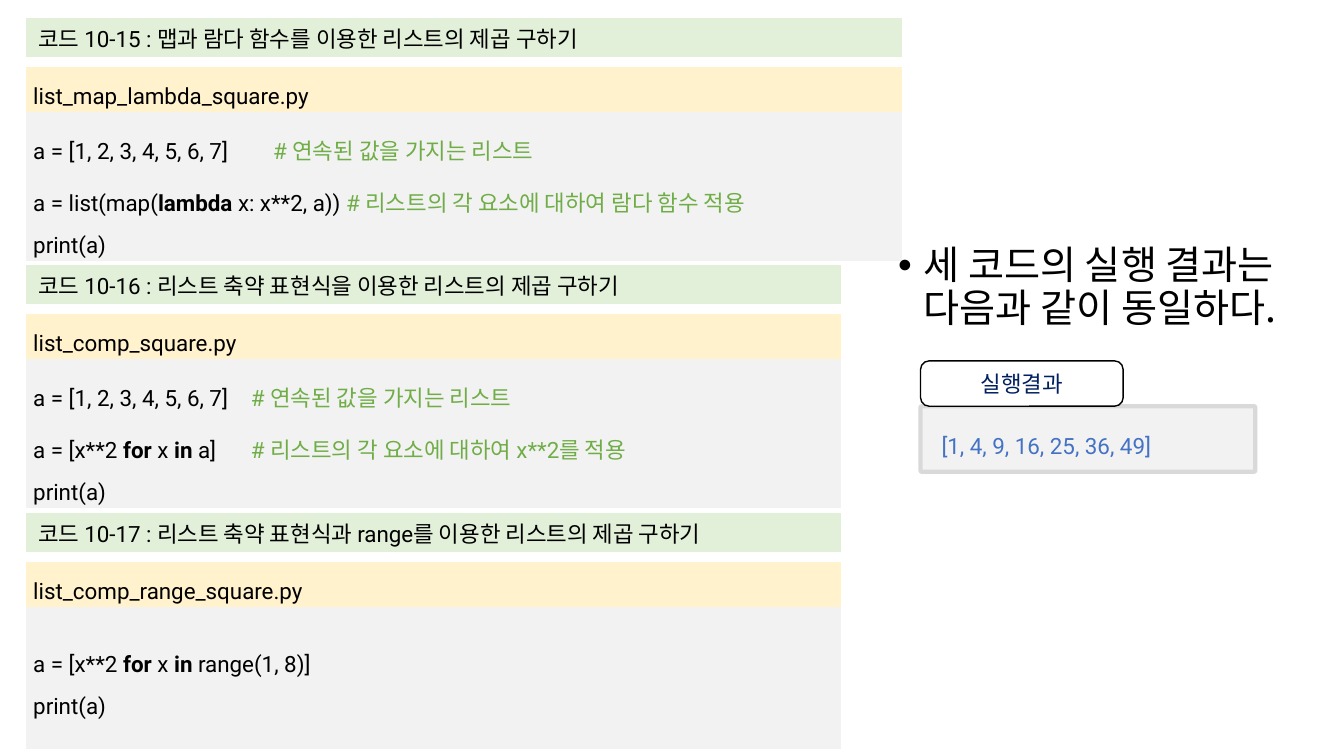
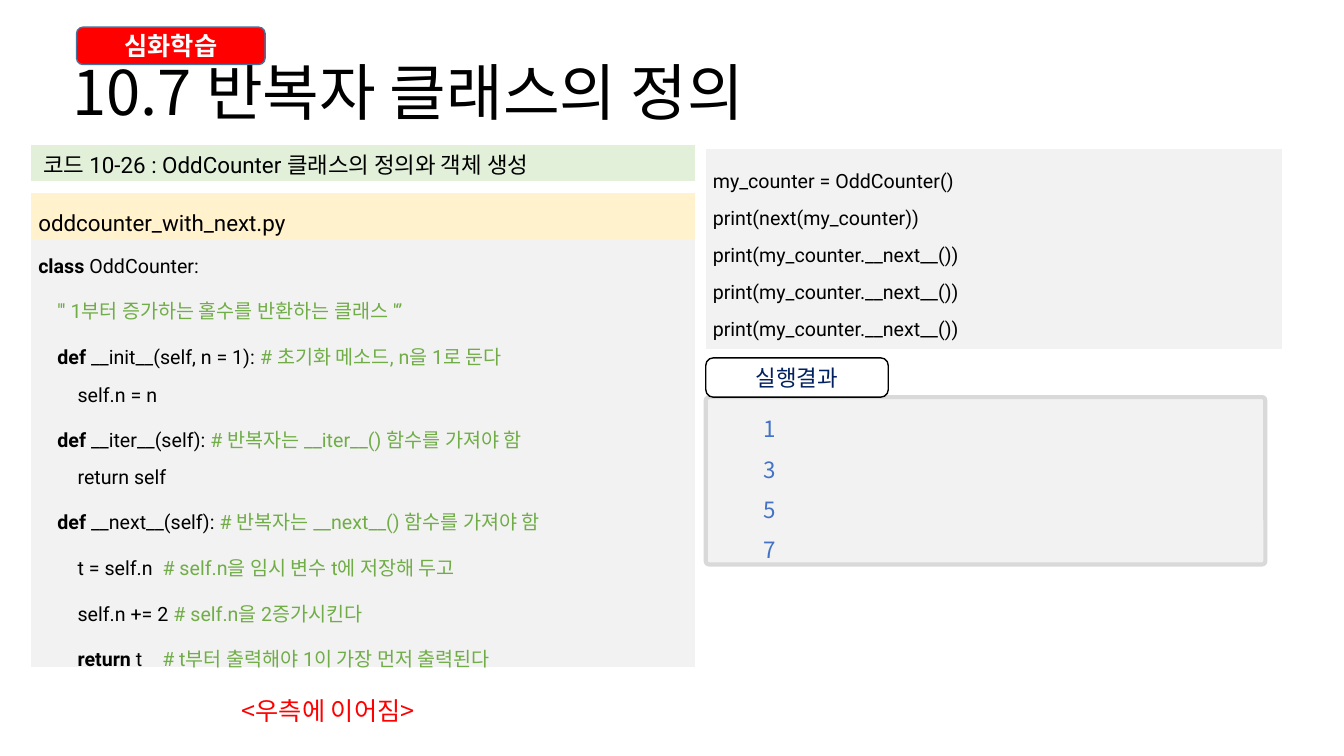
from lxml import etree
from pptx import Presentation
from pptx.dml.color import RGBColor
from pptx.enum.shapes import MSO_SHAPE as Preset
from pptx.enum.text import MSO_ANCHOR as Anchor, PP_ALIGN as Align
from pptx.oxml.ns import qn
from pptx.util import Inches, Pt

LATIN, KOREAN = "Roboto", "Noto Sans CJK KR"
BLACK, WHITE, RED, NAVY, BLUE = "000000", "FFFFFF", "FF0000", "002060", "4472C4"
CAPTION, FILENAME, CODE, COMMENT, EDGE = "E2F0D9", "FFF2CC", "F2F2F2", "70AD47", "D9D9D9"
NO_TABLE_STYLE = "{2D5ABB26-0587-4C30-8999-92F81FD0307C}"
LISTING_ROWS = (0.39, 0.08, 0.31, 1.41)


def rgb(value):
    """Turn a hex string into a colour."""
    return RGBColor.from_string(value)


def style_run(run, size, color=BLACK, font=KOREAN, bold=False):
    """Format one run, with the Korean font for East Asian letters."""
    run.font.size, run.font.bold, run.font.name = Pt(size), bold, font
    run.font.color.rgb = rgb(color)
    etree.SubElement(run.font._element, qn("a:ea"), typeface=KOREAN)


def write(frame, text, size, color=BLACK, font=KOREAN, bold=False, align=Align.LEFT, spacing=1.0):
    """Fill a text frame with evenly formatted paragraphs."""
    frame.text = text
    for paragraph in frame.paragraphs:
        paragraph.alignment, paragraph.line_spacing = align, spacing
        for run in paragraph.runs:
            style_run(run, size, color, font, bold)


def add_label(slide, box, text, size, anchor=Anchor.TOP, wrap=True, **look):
    """Add a text box and return its frame."""
    frame = slide.shapes.add_textbox(*map(Inches, box)).text_frame
    frame.word_wrap, frame.vertical_anchor = wrap, anchor
    write(frame, text, size, **look)
    return frame


def add_panel(slide, box, fill, line, width, radius):
    """Add a rounded rectangle and return it."""
    panel = slide.shapes.add_shape(Preset.ROUNDED_RECTANGLE, *map(Inches, box))
    panel.shadow.inherit = False
    panel.adjustments[0] = radius
    panel.fill.solid()
    panel.fill.fore_color.rgb = rgb(fill)
    panel.line.color.rgb = rgb(line)
    panel.line.width = Pt(width)
    panel.text_frame.vertical_anchor = Anchor.MIDDLE
    return panel


def add_result(slide, box, tab_size, output_box, output, font):
    """Add an output panel with its heading tab."""
    left, top = box[:2]
    width, height = tab_size
    add_panel(slide, box, CODE, EDGE, 3, 0.02)
    tab = add_panel(slide, (left, top - height, width, height), WHITE, BLACK, 1, 0.19)
    write(tab.text_frame, "실행결과", 16, NAVY, align=Align.CENTER)
    add_label(slide, output_box, output, 16, color=BLUE, font=font, spacing=1.5)


def write_code(frame, lines, size, stops):
    """Write code with backticked keywords bold and comments green."""
    for index, line in enumerate(lines):
        paragraph = frame.paragraphs[0] if index == 0 else frame.add_paragraph()
        paragraph.alignment, paragraph.line_spacing = Align.JUSTIFY, 1.6
        if "\t" in line:
            tabs = etree.SubElement(paragraph._p.get_or_add_pPr(), qn("a:tabLst"))
            for stop in stops:
                etree.SubElement(tabs, qn("a:tab"), pos=str(Inches(stop)), algn="l")
        cut = next((line.index(mark) for mark in ("#", "'''") if mark in line), len(line))
        pieces = [(part, BLACK, order % 2 == 1) for order, part in enumerate(line[:cut].split("`"))]
        for part, color, bold in pieces + [(line[cut:], COMMENT, False)]:
            if part:
                run = paragraph.add_run()
                run.text = part
                style_run(run, size, color, LATIN, bold)


def add_rows(slide, box, heights, fills):
    """Add a one-column table and return the frame of each cell."""
    holder = slide.shapes.add_table(len(heights), 1, *map(Inches, box))
    table = holder.table
    table.first_row = table.horz_banding = False
    for style in holder._element.iter(qn("a:tableStyleId")):
        style.text = NO_TABLE_STYLE
    for row, height, fill in zip(table.rows, heights, fills):
        row.height = Inches(height)
        cell = row.cells[0]
        cell.vertical_anchor = Anchor.MIDDLE
        cell.margin_left = cell.margin_right = Inches(0.07)
        cell.margin_top = cell.margin_bottom = Inches(0.02)
        if fill:
            cell.fill.solid()
            cell.fill.fore_color.rgb = rgb(fill)
        else:
            cell.fill.background()
    holder.height = Inches(box[3])
    return [row.cells[0].text_frame for row in table.rows]


def add_listing(slide, box, heights, caption, filename, lines, size=16, stops=()):
    """Add a captioned code listing."""
    heading, gap, name, body = add_rows(slide, box, heights, (CAPTION, None, FILENAME, CODE))
    write(heading, f" 코드 {caption}", 16, font=LATIN)
    etree.SubElement(gap.paragraphs[0]._p, qn("a:endParaRPr"), sz="300")
    write(name, filename, 16, font=LATIN, align=Align.JUSTIFY, spacing=1.6)
    write_code(body, lines, size, stops)


def add_bullet(slide, box, text):
    """Add a large bulleted remark."""
    paragraph = add_label(slide, box, text, 28, spacing=0.9).paragraphs[0]
    paragraph.space_before = Pt(10)
    props = paragraph._p.get_or_add_pPr()
    props.set("marL", str(Inches(0.25)))
    props.set("indent", str(-Inches(0.25)))
    etree.SubElement(props, qn("a:buFont"), typeface="Arial")
    etree.SubElement(props, qn("a:buChar"), char="•")


def build_squares(slide):
    """Compare three ways to square a list."""
    add_listing(slide, (0.26, 0.18, 8.69, 2.34), LISTING_ROWS,
                "10-15 : 맵과 람다 함수를 이용한 리스트의 제곱 구하기", "list_map_lambda_square.py",
                ["a = [1, 2, 3, 4, 5, 6, 7]\t# 연속된 값을 가지는 리스트",
                 "a = list(map(`lambda` x: x**2, a)) # 리스트의 각 요소에 대하여 람다 함수 적용",
                 "print(a)"], stops=(2.38,))
    add_listing(slide, (0.26, 2.63, 8.08, 2.33), LISTING_ROWS,
                "10-16 : 리스트 축약 표현식을 이용한 리스트의 제곱 구하기", "list_comp_square.py",
                ["a = [1, 2, 3, 4, 5, 6, 7]\t# 연속된 값을 가지는 리스트",
                 "a = [x**2 `for` x `in` a]\t# 리스트의 각 요소에 대하여 x**2를 적용",
                 "print(a)"], stops=(2.16, 2.26))
    add_listing(slide, (0.26, 5.09, 8.08, 2.34), LISTING_ROWS,
                "10-17 : 리스트 축약 표현식과 range를 이용한 리스트의 제곱 구하기", "list_comp_range_square.py",
                ["a = [x**2 `for` x `in` range(1, 8)]", "print(a)"])
    add_result(slide, (9.13, 4.03, 3.32, 0.65), (2.01, 0.45), (9.24, 4.11, 3.53, 0.5),
               "[1, 4, 9, 16, 25, 36, 49]", LATIN)
    add_bullet(slide, (8.81, 2.39, 4.73, 1.37), "세 코드의 실행 결과는 다음과 같이 동일하다.")


def build_iterator(slide):
    """Define an iterator class and show its use."""
    add_label(slide, (0.62, 0.22, 11.5, 1.45), "10.7 반복자 클래스의 정의", 44,
              anchor=Anchor.MIDDLE, spacing=0.9)
    add_listing(slide, (0.31, 1.44, 6.58, 5.13), (0.36, 0.11, 0.43, 4.24),
                "10-26 : OddCounter 클래스의 정의와 객체 생성", "oddcounter_with_next.py",
                ["`class` OddCounter:",
                 "\t''' 1부터 증가하는 홀수를 반환하는 클래스 '‘’",
                 "\t`def` __init__(self, n = 1): # 초기화 메소드, n을 1로 둔다",
                 "\t\tself.n = n",
                 "\t`def` __iter__(self): # 반복자는 __iter__() 함수를 가져야 함",
                 "\t\treturn self",
                 "\t`def` __next__(self): # 반복자는 __next__() 함수를 가져야 함",
                 "\t\tt = self.n  # self.n을 임시 변수 t에 저장해 두고",
                 "\t\tself.n += 2 # self.n을 2증가시킨다",
                 "\t\t`return` t\t# t부터 출력해야 1이 가장 먼저 출력된다"],
                14, (0.19, 0.39, 1.23))
    add_result(slide, (7, 3.94, 5.55, 1.66), (1.81, 0.39), (7.47, 3.94, 4.84, 1.66),
               "1\n3\n5\n7", KOREAN)
    usage = add_rows(slide, (7, 1.48, 5.72, 1.98), (1.98,), (CODE,))[0]
    write_code(usage, ["my_counter = OddCounter()", "print(next(my_counter))"]
               + ["print(my_counter.__next__())"] * 3, 14, ())
    add_label(slide, (2.3, 6.85, 2.16, 0.4), "<우측에 이어짐>", 18, wrap=False, color=RED)
    badge = add_panel(slide, (0.76, 0.27, 1.87, 0.37), RED, "43739E", 1, 0.17)
    write(badge.text_frame, "심화학습", 18, WHITE, bold=True, align=Align.CENTER)


def main():
    """Build and save the presentation."""
    deck = Presentation()
    deck.slide_width, deck.slide_height = Inches(13.33), Inches(7.5)
    for build in (build_squares, build_iterator):
        build(deck.slides.add_slide(deck.slide_layouts[6]))
    deck.save("out.pptx")


if __name__ == "__main__":
    main()
